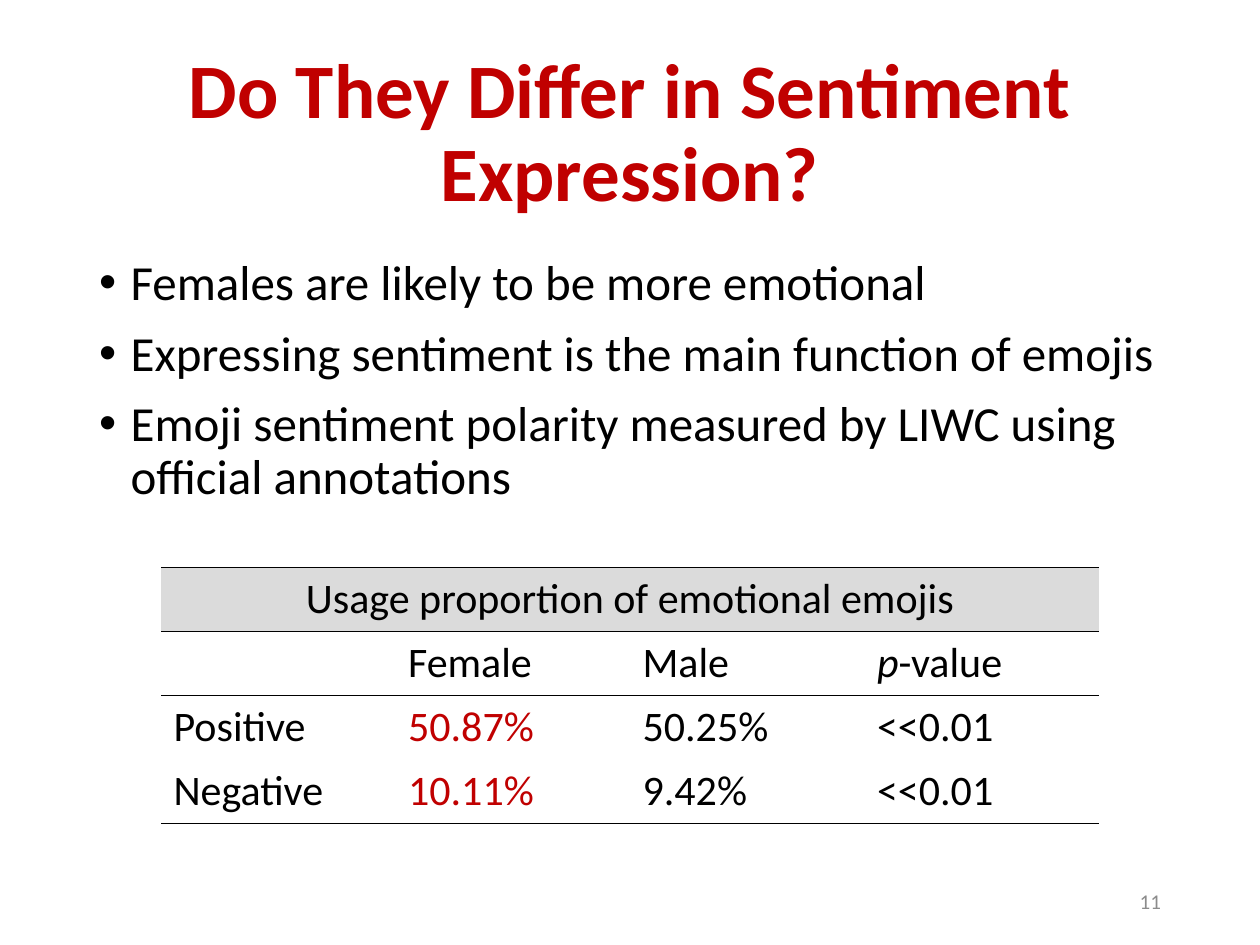
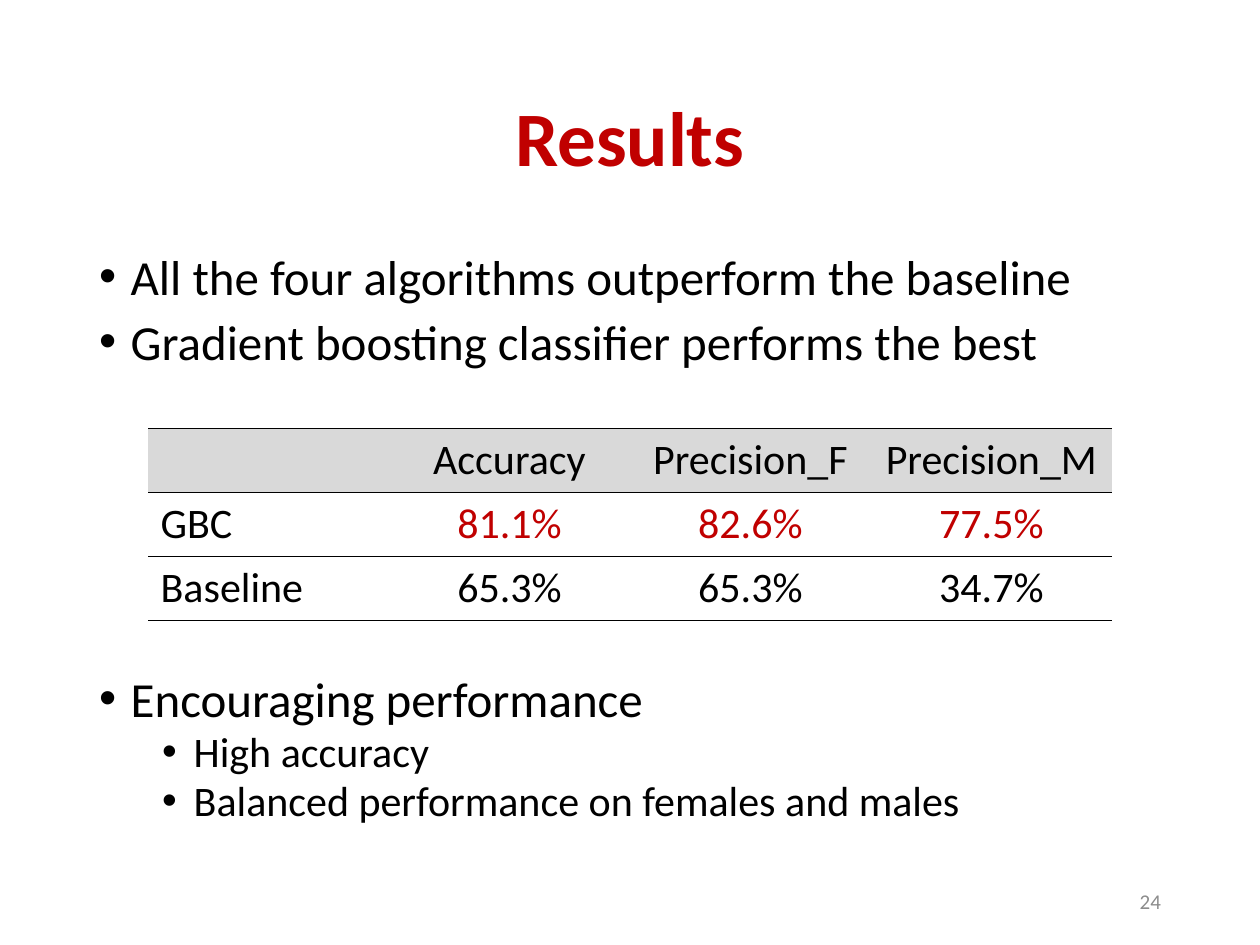
from lxml import etree
from pptx import Presentation
from pptx import util as u
from pptx.dml.color import RGBColor
from pptx.enum import text as t
from pptx.oxml.ns import qn

BLACK, RED, GREY, NUMBER_GREY = "000000", "C00000", "DBDBDB", "8C8C8C"
LEFT, CENTER, RIGHT = t.PP_ALIGN.LEFT, t.PP_ALIGN.CENTER, t.PP_ALIGN.RIGHT


def color(value):
    return RGBColor.from_string(value)


def add_xml(parent, tag, **attributes):
    return etree.SubElement(parent, qn(tag), attributes)


class Deck:
    font_name = "Calibri"
    title_format = {"size": u.Pt(44), "bold": True}
    number_format = {"size": u.Pt(12)}
    table_format = {"size": u.Pt(24)}
    # For each list level: font size, left margin, space before
    levels = [(28, 18, 10), (24, 54, 5)]
    row_height = 36.6

    def __init__(self):
        self.presentation = Presentation()
        self.presentation.slide_width = u.Pt(720)
        self.presentation.slide_height = u.Pt(540)
        self.slide = None

    def add_slide(self, title, number, title_box):
        layout = self.presentation.slide_layouts[1]
        self.slide = self.presentation.slides.add_slide(layout)
        self.title(title, title_box)
        self.number(number)

    def place(self, shape, box, anchor):
        """Move a text shape and fix how its text is laid out."""
        for name, value in zip(("left", "top", "width", "height"), box):
            setattr(shape, name, u.Pt(value))
        layout = {"word_wrap": True, "auto_size": t.MSO_AUTO_SIZE.NONE,
                  "vertical_anchor": anchor}
        for name, value in layout.items():
            setattr(shape.text_frame, name, value)
        return shape.text_frame

    def add_text(self, paragraph, text, formats, hue=BLACK, align=LEFT):
        paragraph.alignment = align
        run = paragraph.add_run()
        run.text = text
        for name, value in {"name": self.font_name, **formats}.items():
            setattr(run.font, name, value)
        run.font.color.rgb = color(hue)

    def title(self, text, box):
        frame = self.place(self.slide.shapes.title, box, t.MSO_ANCHOR.MIDDLE)
        paragraph = frame.paragraphs[0]
        paragraph.line_spacing = 0.9
        self.add_text(paragraph, text, self.title_format, RED, CENTER)

    def number(self, text):
        box = (508.5, 500.5, 162, 28.75)
        shape = self.slide.shapes.add_textbox(*map(u.Pt, box))
        frame = self.place(shape, box, t.MSO_ANCHOR.MIDDLE)
        self.add_text(frame.paragraphs[0], text, self.number_format, NUMBER_GREY, RIGHT)

    def bullets(self, items, line_spacing):
        """Fill the body with (level, text) or (level, text, space before) items."""
        frame = self.place(self.slide.placeholders[1], (49.5, 144, 621, 342.75),
                           t.MSO_ANCHOR.TOP)
        for index, (level, text, *gap) in enumerate(items):
            paragraph = frame.add_paragraph() if index else frame.paragraphs[0]
            size, margin, space = self.levels[level]
            paragraph.level = level
            properties = paragraph._p.get_or_add_pPr()
            properties.set("marL", str(u.Pt(margin)))
            properties.set("indent", str(u.Pt(-18)))
            add_xml(properties, "a:buFont", typeface="Arial")
            add_xml(properties, "a:buChar", char="•")
            paragraph.line_spacing = line_spacing
            paragraph.space_before = u.Pt((gap or [space])[0] if index else 0)
            paragraph.space_after = u.Pt(0)
            self.add_text(paragraph, text, {"size": u.Pt(size)})

    def borders(self, cell, top, bottom):
        properties = cell._tc.get_or_add_tcPr()
        for side, shown in (("L", False), ("R", False), ("T", top), ("B", bottom)):
            line = add_xml(properties, f"a:ln{side}", w=str(u.Pt(1)))
            if shown:
                fill = add_xml(line, "a:solidFill")
                add_xml(fill, "a:srgbClr", val=BLACK)
            else:
                add_xml(line, "a:noFill")

    def table(self, rows, left, top, width, ruled, red, header_fill,
              value_align=LEFT):
        """Draw rows; ruled numbers the horizontal lines, red the (row, column) cells."""
        columns = len(rows[-1])
        frame = self.slide.shapes.add_table(
            len(rows), columns, *map(u.Pt, (left, top, width, self.row_height * len(rows))))
        table = frame.table
        table.first_row = table.horz_banding = False
        for column in table.columns:
            column.width = u.Pt(width / columns)
        for row, texts in enumerate(rows):
            table.rows[row].height = u.Pt(self.row_height)
            for column in range(columns):
                cell = table.cell(row, column)
                self.borders(cell, row in ruled, row + 1 in ruled)
                if row == 0:
                    cell.fill.solid()
                    cell.fill.fore_color.rgb = color(header_fill)
                else:
                    cell.fill.background()
            if len(texts) == 1:
                table.cell(row, 0).merge(table.cell(row, columns - 1))
            for column, content in enumerate(texts):
                paragraph = table.cell(row, column).text_frame.paragraphs[0]
                align = CENTER if len(texts) == 1 else value_align if column else LEFT
                hue = RED if (row, column) in red else BLACK
                runs = [(content, {})] if isinstance(content, str) else content
                for text, extra in runs:
                    if text:
                        self.add_text(paragraph, text, {**self.table_format, **extra},
                                      hue, align)


def main():
    deck = Deck()

    deck.add_slide("Do They Differ in Sentiment Expression?", "11",
                   (8.5, 25, 703, 104.4))
    deck.bullets([
        (0, "Females are likely to be more emotional"),
        (0, "Expressing sentiment is the main function of emojis"),
        (0, "Emoji sentiment polarity measured by LIWC using official annotations"),
    ], 0.9)
    deck.table([
        ["Usage proportion of emotional emojis"],
        ["", "Female", "Male", [("p", {"italic": True}), ("-value", {})]],
        ["Positive", "50.87%", "50.25%", "<<0.01"],
        ["Negative", "10.11%", "9.42%", "<<0.01"],
    ], 92, 324.3, 536, ruled={0, 1, 2, 4}, red={(2, 1), (3, 1)}, header_fill=GREY)

    deck.add_slide("Results", "24", (49.5, 28.75, 621, 104.4))
    deck.bullets([
        (0, "All the four algorithms outperform the baseline"),
        (0, "Gradient boosting classifier performs the best"),
        (0, "Encouraging performance", 177),
        (1, "High accuracy"),
        (1, "Balanced performance on females and males"),
    ], 0.8)
    deck.table([
        ["", "Accuracy", "Precision_F", "Precision_M"],
        ["GBC", "81.1%", "82.6%", "77.5%"],
        ["Baseline", "65.3%", "65.3%", "34.7%"],
    ], 84.6, 244.8, 550.8, ruled={0, 1, 2, 3}, red={(1, 1), (1, 2), (1, 3)},
        header_fill="D9D9D9", value_align=CENTER)

    deck.presentation.save("out.pptx")


if __name__ == "__main__":
    main()
